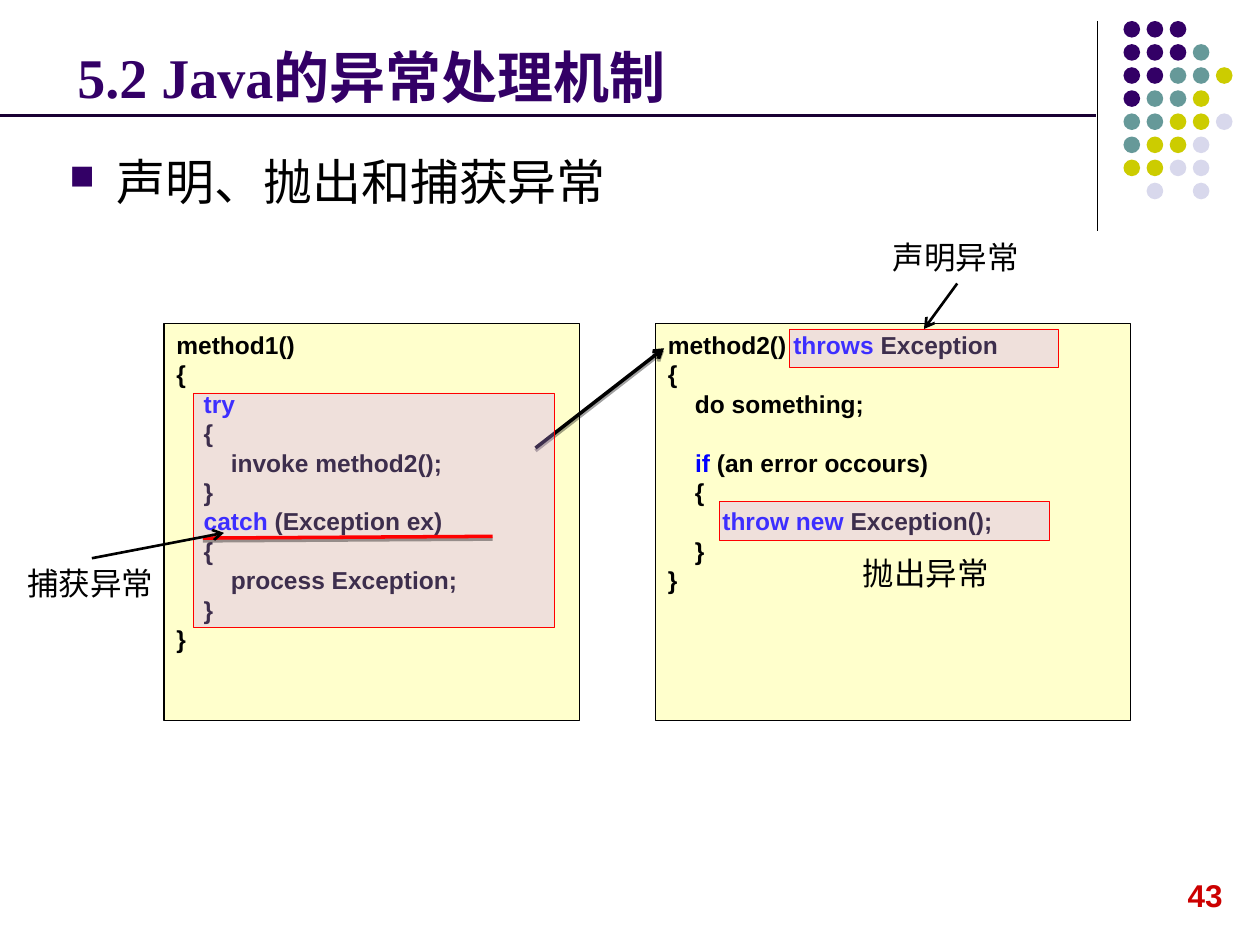
from lxml import etree
from pptx import Presentation
from pptx.dml.color import RGBColor
from pptx.enum.shapes import MSO_CONNECTOR, MSO_SHAPE
from pptx.enum.text import MSO_ANCHOR, PP_ALIGN
from pptx.oxml.ns import qn
from pptx.util import Pt

STRAIGHT = MSO_CONNECTOR.STRAIGHT
OVAL, RECTANGLE = MSO_SHAPE.OVAL, MSO_SHAPE.RECTANGLE
TOP, BOTTOM = MSO_ANCHOR.TOP, MSO_ANCHOR.BOTTOM
LEFT = PP_ALIGN.LEFT

BLACK, RED, PURPLE, BLUE = "000000", "FF0000", "330066", "0000FF"
DOT_COLORS = {"P": PURPLE, "T": "669999", "Y": "CCCC00", "L": "D8D8EC"}
DOT_ROWS = ["PPP", "PPPT", "PPTTY", "PTTY", "TTYYL", "TYYL", "YYLL", " L L"]

METHOD1 = """method1()
{
    |try|
    {
        invoke method2();
    }
    |catch| (Exception ex)
    {
        process Exception;
    }
}"""
METHOD2 = """method2() |throws| Exception
{
    do something;

    |if| (an error occours)
    {
        |throw new| Exception();
    }
}"""


def rgb(value):
    """Turn a hex string into a colour."""
    return RGBColor.from_string(value)


def add_element(parent, tag, **attributes):
    """Append a drawing element with the given attributes."""
    return etree.SubElement(parent, qn(tag), attributes)


class Painter:
    """Holds the style and the current page."""

    code_font, heading_font, label_font = "Arial", "Times New Roman", "Noto Sans CJK SC"

    def __init__(self, page):
        """Keep the page to draw on."""
        self.page = page

    def style(self, para, size, font, color, bold=False):
        """Set the font of a whole paragraph."""
        para.alignment = LEFT
        para.font.size, para.font.name, para.font.bold = Pt(size), font, bold
        para.font.color.rgb = rgb(color)

    def title(self, text, left, top, width, height):
        """Place and format the title placeholder."""
        box = self.page.shapes.title
        box.left, box.top, box.width, box.height = map(Pt, (left, top, width, height))
        box.text_frame.text = text
        box.text_frame.vertical_anchor = BOTTOM
        self.style(box.text_frame.paragraphs[0], 32, self.heading_font, PURPLE, True)

    def text(self, text, left, top, width, height, size, font, color=BLACK, bold=False):
        """Add a text box of one unwrapped line."""
        box = self.page.shapes.add_textbox(Pt(left), Pt(top), Pt(width), Pt(height))
        box.text_frame.word_wrap = False
        para = box.text_frame.paragraphs[0]
        para.text = text
        self.style(para, size, font, color, bold)
        return box

    def label(self, text, left, top):
        """Add a caption for one step of exception handling."""
        self.text(text, left, top, 88, 29, 18, self.label_font)

    def bullet(self, text, left, top, width, height):
        """Add a line with a square bullet."""
        box = self.text(text, left, top, width, height, 28, self.heading_font)
        box.text_frame.word_wrap = True
        box.text_frame.vertical_anchor = BOTTOM
        para = box.text_frame.paragraphs[0]
        properties = para._p.get_or_add_pPr()
        properties.set("marL", str(Pt(27)))
        properties.set("indent", str(-Pt(27)))
        for child in list(properties):
            properties.remove(child)
        add_element(add_element(properties, "a:buClr"), "a:srgbClr", val=PURPLE)
        add_element(properties, "a:buSzPct", val="70000")
        add_element(properties, "a:buChar", char="■")
        self.style(para, 28, self.heading_font, BLACK)

    def shape(self, kind, left, top, width, height, fill, line=None, weight=0.75):
        """Add a flat preset shape."""
        shape = self.page.shapes.add_shape(kind, Pt(left), Pt(top), Pt(width), Pt(height))
        shape.shadow.inherit = False
        shape.fill.solid()
        shape.fill.fore_color.rgb = rgb(fill)
        if line:
            shape.line.color.rgb = rgb(line)
            shape.line.width = Pt(weight)
        else:
            shape.line.fill.background()
        return shape

    def dots(self, left, top, pitch, size):
        """Draw the corner grid of coloured dots."""
        for row, colors in enumerate(DOT_ROWS):
            for column, key in enumerate(colors):
                if key in DOT_COLORS:
                    self.shape(OVAL, left + column * pitch, top + row * pitch,
                               size, size, DOT_COLORS[key])

    def code(self, source, left, top, width, height):
        """Add a code panel, with keywords marked by bars."""
        frame = self.shape(RECTANGLE, left, top, width, height, "FFFFCC", BLACK).text_frame
        frame.word_wrap = False
        frame.vertical_anchor = TOP
        for number, line in enumerate(source.split("\n")):
            para = frame.add_paragraph() if number else frame.paragraphs[0]
            self.style(para, 14, self.code_font, BLACK, True)
            para.line_spacing = Pt(16.8)
            for index, part in enumerate(line.split("|")):
                if part:
                    span = para.add_run()
                    span.text = part
                    if index % 2:
                        span.font.color.rgb = rgb(BLUE)

    def highlight(self, left, top, width, height):
        """Add a translucent frame over code."""
        shape = self.shape(RECTANGLE, left, top, width, height, "CD9BFF", RED, 0.25)
        color = shape.fill._xPr.find(qn("a:solidFill"))[0]
        add_element(color, "a:alpha", val="30000")

    def line(self, start, end, color, weight, arrow=False, shadow=False):
        """Add a straight line, with an optional arrowhead and shadow."""
        line = self.page.shapes.add_connector(STRAIGHT, *map(Pt, (*start, *end)))
        line.line.color.rgb = rgb(color)
        line.line.width = Pt(weight)
        if arrow:
            add_element(line.line._get_or_add_ln(), "a:tailEnd", type="arrow")
        effects = add_element(line._element.spPr, "a:effectLst")
        if shadow:
            outer = add_element(effects, "a:outerShdw", blurRad="0", dist=str(Pt(1.6)),
                                dir="5400000", rotWithShape="0")
            add_element(add_element(outer, "a:srgbClr", val=BLACK), "a:alpha", val="37000")


def main():
    """Build the exception handling slide."""
    deck = Presentation()
    deck.slide_width, deck.slide_height = Pt(720), Pt(540)
    painter = Painter(deck.slides.add_slide(deck.slide_layouts[5]))

    painter.line((627, 12), (627, 132), BLACK, 0.75)
    painter.dots(642, 12, 13.2, 9.5)
    painter.text("43", 671.5, 497, 35, 29, 18, painter.code_font, "CC0000", True)
    painter.title("5.2 Java的异常处理机制", 37, 9.5, 594, 57)
    painter.line((0, 66), (626.5, 66), "190033", 2.25)
    painter.bullet("声明、抛出和捕获异常", 32.5, 71.5, 594, 52.5)

    painter.code(METHOD1, 93.75, 185, 237.5, 226.75)
    painter.code(METHOD2, 374.5, 185, 271.5, 226.75)
    painter.line((306, 256), (379.5, 199), BLACK, 2, arrow=True, shadow=True)
    painter.highlight(110.5, 224.5, 206, 134)
    painter.line((116, 307.5), (281.5, 306.5), RED, 2, shadow=True)
    painter.highlight(451, 188, 154, 22)
    painter.highlight(411, 286.5, 188.5, 22)

    painter.label("声明异常", 503, 132.5)
    painter.line((547, 162), (528, 188), BLACK, 1.5, arrow=True)
    painter.label("抛出异常", 486, 313)
    painter.label("捕获异常", 8.5, 319)
    painter.line((52.5, 319), (128, 304.5), BLACK, 1.5, arrow=True)
    deck.save("out.pptx")


if __name__ == "__main__":
    main()
